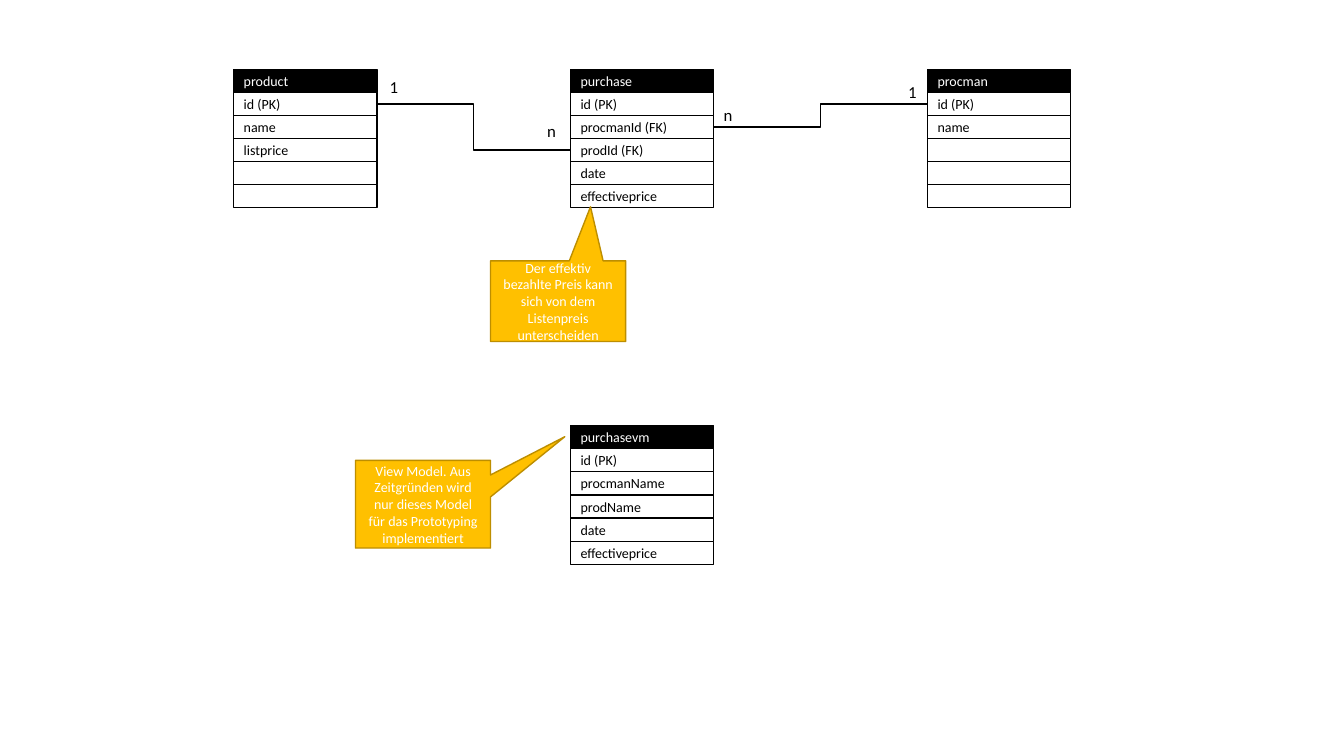
from dataclasses import dataclass
from pptx import Presentation
from pptx.dml.color import RGBColor as Rgb
from pptx.enum.shapes import MSO_CONNECTOR as Link, MSO_SHAPE as Kind
from pptx.enum.text import MSO_ANCHOR as Anchor, MSO_AUTO_SIZE as Fit, PP_ALIGN as Align
from pptx.oxml.ns import qn
from pptx.util import Inches, Pt
from lxml.etree import SubElement


@dataclass(frozen=True)
class Theme:
    font: str = "Calibri"
    ink: Rgb = Rgb(0, 0, 0)
    paper: Rgb = Rgb(255, 255, 255)
    gold: Rgb = Rgb(255, 192, 0)
    edge: Rgb = Rgb(189, 142, 0)
    small: Pt = Pt(10)
    large: Pt = Pt(12)
    line: Pt = Pt(1)


THEME = Theme()
WIDE, HIGH = Inches(13.33), Inches(7.5)
ROWS = 6
TABLES = {
    "procman": ((69.02, 9.2, 10.65, 18.25), ["id (PK)", "name"]),
    "purchase": ((42.46, 9.2, 10.65, 18.25),
                 ["id (PK)", "procmanId (FK)", "prodId (FK)", "date", "effectiveprice"]),
    "product": ((17.4, 9.2, 10.65, 18.25), ["id (PK)", "name", "listprice"]),
    "purchasevm": ((42.46, 56.27, 10.65, 18.4),
                   ["id (PK)", "procmanName", "prodName", "date", "effectiveprice"]),
}
LINKS = [
    (("purchase", 2, 3), ("procman", 1, 1)),
    (("purchase", 3, 1), ("product", 1, 3)),
]
LABELS = [
    ("n", (53.11, 13.2, 2.18, 4)),
    ("1", (66.84, 10.13, 2.18, 4)),
    ("n", (39.98, 15.33, 2.18, 4)),
    ("1", (28.25, 9.47, 2.18, 4)),
]
NOTES = [
    ("Der effektiv bezahlte Preis kann sich von dem Listenpreis unterscheiden",
     (36.5, 34.5, 10.05, 10.67), (0.24, -1.17)),
    ("View Model. Aus Zeitgründen wird nur dieses Model für das Prototyping implementiert",
     (26.45, 60.9, 10.05, 11.6), (1.05, -0.77)),
]


def share(box):
    return [round(part * side / 100) for part, side in zip(box, (WIDE, HIGH) * 2)]


def apply(item, **values):
    for name, value in values.items():
        setattr(item, name, value)


def stroke(line, color):
    line.color.rgb = color
    line.width = THEME.line


def write(shape, text, size, color, align=Align.LEFT, **frame):
    apply(shape.text_frame, **frame)
    para = shape.text_frame.paragraphs[0]
    para.alignment = align
    run = para.add_run()
    run.text = text
    apply(run.font, name=THEME.font, size=size)
    run.font.color.rgb = color


def block(shapes, kind, box, fill, edge):
    shape = shapes.add_shape(kind, *box)
    shape.shadow.inherit = False
    shape.fill.solid()
    shape.fill.fore_color.rgb = fill
    stroke(shape.line, edge)
    return shape


def table(slide, box, title, fields):
    left, top, width, height = share(box)
    step = height // ROWS
    group = slide.shapes.add_group_shape()
    texts = [title] + fields
    cells = []
    for row in range(ROWS):
        fill, color = (THEME.paper, THEME.ink) if row else (THEME.ink, THEME.paper)
        cell = block(group.shapes, Kind.RECTANGLE,
                     (left, top + row * step, width, step), fill, THEME.ink)
        if row < len(texts):
            write(cell, texts[row], THEME.small, color,
                  vertical_anchor=Anchor.MIDDLE, word_wrap=True)
        cells.append(cell)
    return cells


def join(slide, start, start_side, end, end_side):
    line = slide.shapes.add_connector(Link.ELBOW, 0, 0, 0, 0)
    line.begin_connect(start, start_side)
    line.end_connect(end, end_side)
    stroke(line.line, THEME.ink)
    SubElement(line._element.spPr, qn("a:effectLst"))


def label(slide, box, text):
    shape = slide.shapes.add_textbox(*share(box))
    write(shape, text, THEME.large, THEME.ink,
          word_wrap=False, auto_size=Fit.SHAPE_TO_FIT_TEXT)


def note(slide, box, text, tip):
    shape = block(slide.shapes, Kind.RECTANGULAR_CALLOUT, share(box),
                  THEME.gold, THEME.edge)
    for index, value in enumerate(tip):
        shape.adjustments[index] = value
    write(shape, text, THEME.small, THEME.paper, Align.CENTER,
          vertical_anchor=Anchor.MIDDLE, word_wrap=True)


def main():
    deck = Presentation()
    apply(deck, slide_width=WIDE, slide_height=HIGH)
    slide = deck.slides.add_slide(deck.slide_layouts[6])
    cells = {name: table(slide, box, name, fields)
             for name, (box, fields) in TABLES.items()}
    for (source, row, side), (target, line, face) in LINKS:
        join(slide, cells[source][row], side, cells[target][line], face)
    for text, box in LABELS:
        label(slide, box, text)
    for text, box, tip in NOTES:
        note(slide, box, text, tip)
    deck.save("out.pptx")


if __name__ == "__main__":
    main()
